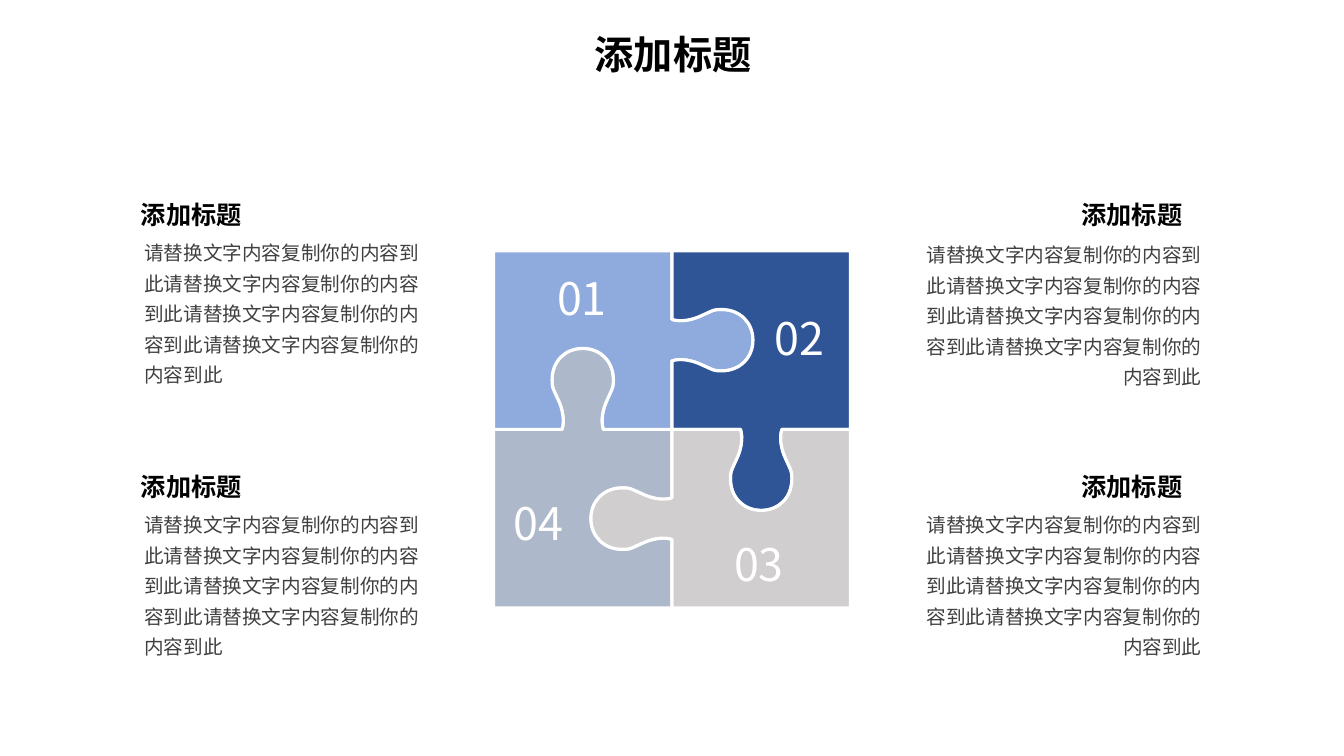
from dataclasses import dataclass

from lxml import etree
from pptx import Presentation
from pptx import util as u
from pptx.dml.color import RGBColor
from pptx.enum import text
from pptx.oxml import ns

FONT = "Noto Sans CJK SC"
WHITE = RGBColor(0xFF, 0xFF, 0xFF)
BLACK = RGBColor(0, 0, 0)
DARK_GREY = RGBColor(0x40, 0x40, 0x40)
LIGHT_BLUE = RGBColor(0x8F, 0xAA, 0xDC)
NAVY = RGBColor(0x2F, 0x55, 0x97)
LIGHT_GREY = RGBColor(0xD0, 0xCE, 0xCE)
BLUE_GREY = RGBColor(0xAD, 0xB9, 0xCA)

# Grid: 100 columns by 100 rows on a 16:9 slide
HEIGHT = u.Inches(7.5)
WIDTH = u.Emu(HEIGHT * 16 // 9)
COL, ROW = WIDTH / 100, HEIGHT / 100

# Puzzle: centre on the grid, side of one piece in columns
CENTRE_COL, CENTRE_ROW, SIDE = 50, 56.8, 13.28

# Half of the first piece's knob, in percent of the side from the puzzle's
# centre: a start point, then three Bezier points per curve
HALF_KNOB = [
    (0, -38.4),
    (5.3, -40.1), (12.1, -38.4), (16.6, -36.2),
    (18.3, -35.6), (20, -34.5), (21.7, -33.9),
    (23.9, -32.8), (25.6, -32.8), (27.9, -32.8),
    (38.1, -32.8), (45.4, -40.1), (45.4, -50),
]
KNOB = HALF_KNOB + [(x, -100 - y) for x, y in reversed(HALF_KNOB[:-1])]

TITLE = "添加标题"
BODY = "请替换文字内容复制你的内容到此" * 4

Point = tuple[float, float]


@dataclass
class Piece:
    number: str
    color: RGBColor
    turns: int  # clockwise quarter turns from the first piece
    inset_cols: float
    inset_rows: float


@dataclass
class Label:
    words: str
    left: float
    top: float
    width: float
    height: float
    size: int
    color: RGBColor
    bold: bool
    align: text.PP_ALIGN
    spacing: float
    insets: tuple[float, float] = (0.1, 0.05)
    middle: bool = False


def turn(points: list[Point], turns: int) -> list[Point]:
    for _ in range(turns):
        points = [(-y, x) for x, y in points]
    return points


def bend(lines: list) -> None:
    """Join each three line segments into one Bezier curve."""
    for i in range(0, len(lines), 3):
        curve = etree.Element(ns.qn("a:cubicBezTo"))
        lines[i].addprevious(curve)
        for line in lines[i:i + 3]:
            curve.append(line[0])
            line.getparent().remove(line)


def style_text(tf, words: str, size: int, color: RGBColor, bold: bool, align: text.PP_ALIGN) -> None:
    tf.text = words
    p = tf.paragraphs[0]
    p.alignment = align
    r = p.runs[0]
    r.font.size, r.font.bold, r.font.name = u.Pt(size), bold, FONT
    r.font.color.rgb = color
    etree.SubElement(r.font._element, ns.qn("a:ea"), typeface=FONT)


def add_piece(s, piece: Piece) -> None:
    socket = turn(KNOB, 3)[::-1]
    outline = [(-100, -100), (-100, 0), *socket, (0, 0), *KNOB, (0, -100)]
    unit = SIDE * COL / 100
    points = [(CENTRE_COL * COL + x * unit, CENTRE_ROW * ROW + y * unit)
              for x, y in turn(outline, piece.turns)]
    builder = s.shapes.build_freeform(*points[0])
    builder.add_line_segments(points[1:], close=True)
    sp = builder.convert_to_shape()
    lines = list(sp._element.iter(ns.qn("a:lnTo")))
    curved = len(KNOB) - 1
    for start in (2, curved + 4):
        bend(lines[start:start + curved])
    sp.shadow.inherit = False
    sp.fill.solid()
    sp.fill.fore_color.rgb = piece.color
    sp.line.color.rgb = WHITE
    sp.line.width = u.Pt(2.25)
    tf = sp.text_frame
    tf.vertical_anchor = text.MSO_ANCHOR.TOP
    tf.margin_left, tf.margin_top = int(piece.inset_cols * COL), int(piece.inset_rows * ROW)
    style_text(tf, piece.number, 32, WHITE, False, text.PP_ALIGN.LEFT)


def add_label(s, label: Label) -> None:
    sp = s.shapes.add_textbox(int(label.left * COL), int(label.top * ROW),
                              int(label.width * COL), int(label.height * ROW))
    tf = sp.text_frame
    tf.word_wrap = True
    tf.margin_left = tf.margin_right = u.Inches(label.insets[0])
    tf.margin_top = tf.margin_bottom = u.Inches(label.insets[1])
    if label.middle:
        tf.vertical_anchor = text.MSO_ANCHOR.MIDDLE
    else:
        tf.auto_size = text.MSO_AUTO_SIZE.SHAPE_TO_FIT_TEXT
    style_text(tf, label.words, label.size, label.color, label.bold, label.align)
    tf.paragraphs[0].line_spacing = label.spacing


def heading(left: float, top: float) -> Label:
    return Label(TITLE, left, top, 10.58, 4.13, 18, BLACK, True,
                 text.PP_ALIGN.JUSTIFY, 1.2, middle=True)


def body(left: float, top: float, align: text.PP_ALIGN) -> Label:
    return Label(BODY, left, top, 22.58, 22.27, 14, DARK_GREY, False,
                 align, 1.3, insets=(0.13, 0.07))


PIECES = [
    Piece("04", BLUE_GREY, 3, 1.5, 19.47),
    Piece("01", LIGHT_BLUE, 0, 4.73, 2.67),
    Piece("02", NAVY, 1, 7.65, 7.87),
    Piece("03", LIGHT_GREY, 2, 10.65, 14.13),
]
LEFT, RIGHT = text.PP_ALIGN.LEFT, text.PP_ALIGN.RIGHT
LABELS = [
    *(heading(left, top) for top in (25.87, 61.87) for left in (9.75, 79.73)),
    body(9.75, 30, LEFT),
    body(67.8, 30.27, RIGHT),
    body(9.75, 66, LEFT),
    body(67.8, 66, RIGHT),
    Label(TITLE, 0.08, 3.33, 100, 7.6, 28, BLACK, True, text.PP_ALIGN.CENTER, 1.0),
]


def main() -> None:
    prs = Presentation()
    prs.slide_width, prs.slide_height = WIDTH, HEIGHT
    s = prs.slides.add_slide(prs.slide_layouts[6])
    # Puzzle
    for piece in PIECES:
        add_piece(s, piece)
    # Headings, body texts and slide title
    for label in LABELS:
        add_label(s, label)
    prs.save("out.pptx")


if __name__ == "__main__":
    main()
